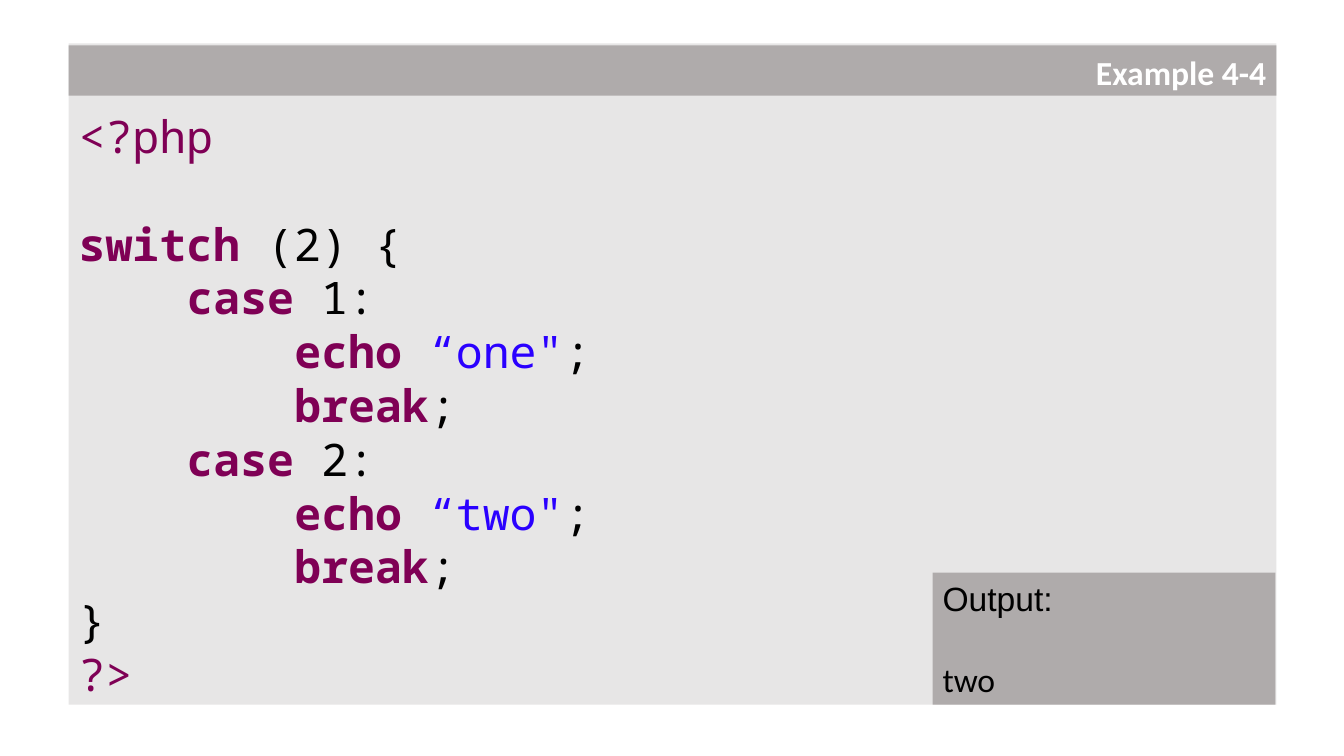
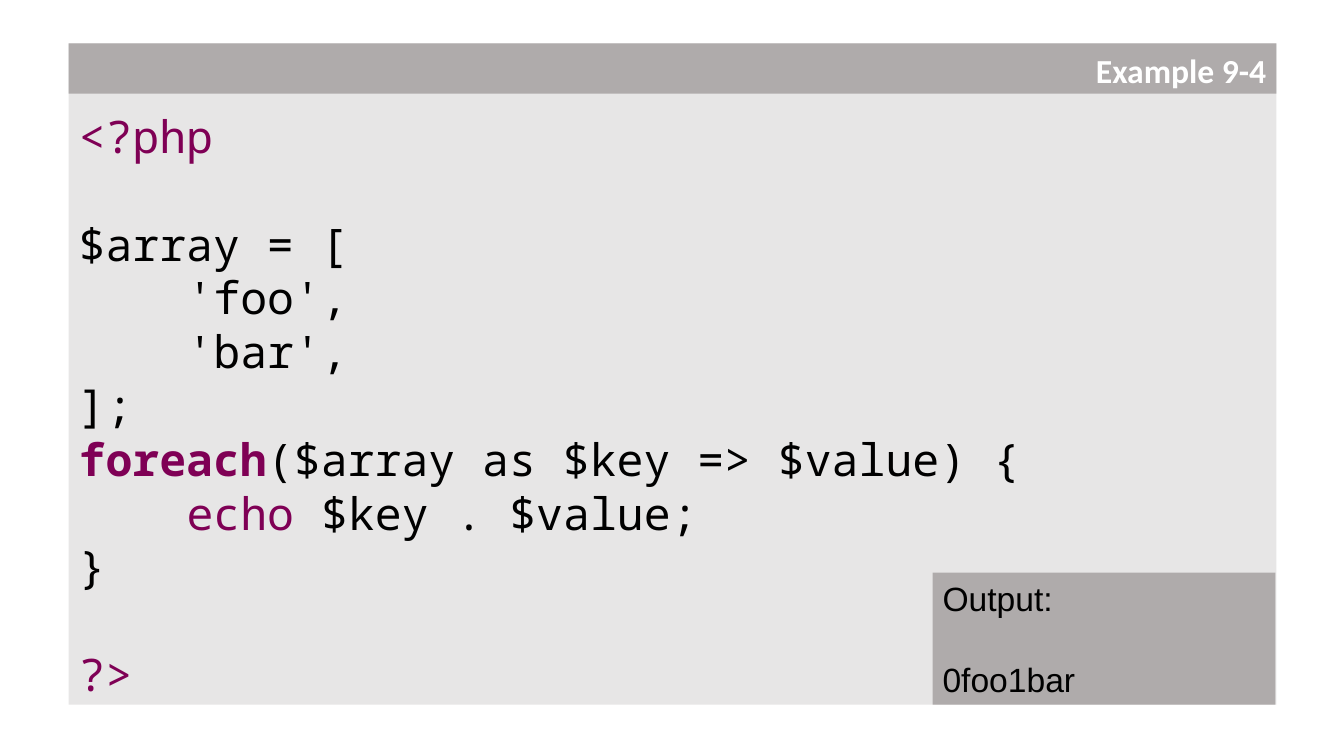
import pptx
import pptx.util
import pptx.dml.color
import pptx.enum.text
import pptx.enum.shapes
import pptx.oxml

Inches, Pt = pptx.util.Inches, pptx.util.Pt
RGBColor = pptx.dml.color.RGBColor
ALIGN = pptx.enum.text.PP_ALIGN
ANCHOR = pptx.enum.text.MSO_ANCHOR

PALE = RGBColor(0xE7, 0xE6, 0xE6)
GRAY = RGBColor(0xAF, 0xAB, 0xAB)
WHITE = RGBColor(0xFF, 0xFF, 0xFF)
BLACK = RGBColor(0x00, 0x00, 0x00)
PLUM = RGBColor(0x7F, 0x00, 0x55)
BLUE = RGBColor(0x2A, 0x00, 0xFF)

# Run styles: colour and bold
PLAIN, WORD, TAG, QUOTE = (BLACK, False), (PLUM, True), (PLUM, False), (BLUE, False)
HEAD = (WHITE, True)

LEFT, WIDTH = 0.68, 11.98
PITCH = 38.4  # points from one code line to the next
STEP = 1.07  # inches per indent level, four characters of code


def place(shape, left, top, width, height, fill):
    """Set the position and the fill of a box."""
    shape.left, shape.top = Inches(left), Inches(top)
    shape.width, shape.height = Inches(width), Inches(height)
    shape.fill.solid()
    shape.fill.fore_color.rgb = fill
    shape.line.fill.background()


def write(shape, lines, font="Arial", size=24, align=ALIGN.LEFT,
          anchor=ANCHOR.TOP, inset=0.05, pitch=None, gap=0):
    """Write lines of (level, blank line before, runs) into a box."""
    frame = shape.text_frame
    frame.word_wrap = True
    frame.auto_size = pptx.enum.text.MSO_AUTO_SIZE.NONE
    frame.vertical_anchor = anchor
    frame.margin_left = frame.margin_right = Inches(0.1)
    frame.margin_top, frame.margin_bottom = Inches(inset), Inches(0.02)
    for i, (level, blank, runs) in enumerate(lines):
        para = frame.paragraphs[0] if i == 0 else frame.add_paragraph()
        para.alignment = align
        para.space_before = Pt(gap if blank else 0)
        para.space_after = Pt(0)
        if pitch:
            para.line_spacing = Pt(pitch)
        props = para._p.get_or_add_pPr()
        props.set("marL", str(Inches(level * STEP)))
        props.set("indent", "0")
        props.append(pptx.oxml.parse_xml(
            '<a:buNone xmlns:a="http://schemas.openxmlformats.org/drawingml/2006/main"/>'))
        for text, (color, bold), *face in runs:
            run = para.add_run()
            run.text = text
            run.font.name = face[0] if face else font
            run.font.size = Pt(size)
            run.font.bold = bold
            run.font.color.rgb = color


start = (0, False, [("<?php", TAG)])
close = (0, False, [("}", PLAIN)])

switch = [start, (0, True, [("switch", WORD), (" (2) {", PLAIN)])]
for number, name in (("1", "one"), ("2", "two")):
    switch += [
        (1, False, [("case", WORD), (f" {number}:", PLAIN)]),
        (2, False, [("echo ", WORD), (f"\u201c{name}\"", QUOTE), (";", PLAIN)]),
        (2, False, [("break", WORD), (";", PLAIN)]),
    ]
switch += [close, (0, False, [("?>", TAG)])]

loop = [
    start,
    (0, True, [("$array = [", PLAIN)]),
    (1, False, [("'foo',", PLAIN)]),
    (1, False, [("'bar',", PLAIN)]),
    (0, False, [("];", PLAIN)]),
    (0, False, [("foreach", WORD), ("($array as $key => $value) {", PLAIN)]),
    (1, False, [("echo", TAG), (" $key . $value;", PLAIN)]),
    close,
    (0, True, [("?>", TAG)]),
]

# Title, top of its band, code, result and the font of the result
slides = [
    ("Example 4-4", 0.45, switch, "two", "Calibri"),
    ("Example 9-4", 0.43, loop, "0foo1bar", "Arial"),
]

deck = pptx.Presentation()
deck.slide_width, deck.slide_height = Inches(13.33), Inches(7.5)

for label, top, code, result, face in slides:
    slide = deck.slides.add_slide(deck.slide_layouts[1])
    title, body = slide.shapes.title, slide.placeholders[1]

    place(body, LEFT, 0.43, WIDTH, 6.56, PALE)
    write(body, code, font="Noto Sans Mono", size=32, inset=0.65,
          pitch=PITCH, gap=PITCH)

    output = slide.shapes.add_shape(
        pptx.enum.shapes.MSO_SHAPE.RECTANGLE, 0, 0, 0, 0)
    output.shadow.inherit = False
    place(output, 9.25, 5.68, 3.4, 1.31, GRAY)
    write(output, [(0, False, [("Output:", PLAIN)]),
                   (0, True, [(result, PLAIN, face)])], gap=29)

    place(title, LEFT, top, WIDTH, 0.5, GRAY)
    write(title, [(0, False, [(label, HEAD)])], font="Calibri",
          align=ALIGN.RIGHT, anchor=ANCHOR.MIDDLE)
    # The title band lies over the code panel
    title.element.getparent().append(title.element)

deck.save("out.pptx")
